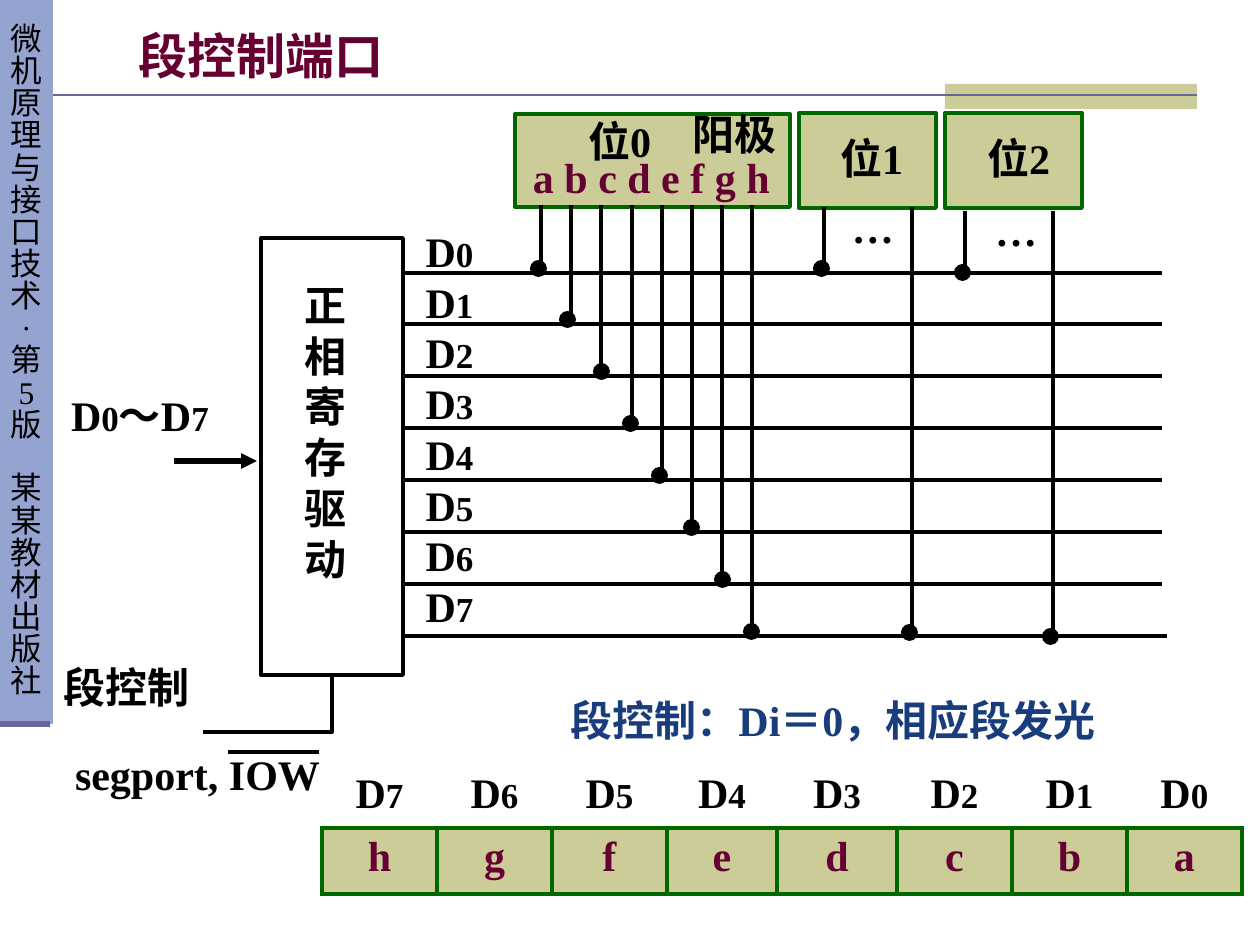
from typing import NamedTuple

from lxml import etree
from pptx import Presentation, util as u
from pptx.dml.color import RGBColor
from pptx.enum import shapes, text
from pptx.oxml.ns import qn

PX = 914400 / 126  # EMU in one px
BLACK = RGBColor(0x00, 0x00, 0x00)
MAROON = RGBColor(0x66, 0x00, 0x33)
NAVY = RGBColor(0x19, 0x3C, 0x7D)
GREEN = RGBColor(0x00, 0x66, 0x00)
KHAKI = RGBColor(0xCC, 0xCC, 0x99)
PERIWINKLE = RGBColor(0x95, 0xA3, 0xD1)
SLATE = RGBColor(0x66, 0x66, 0x99)
SERIF, SANS = "Times New Roman", "Noto Sans CJK SC"
CENTER, LEFT = text.PP_ALIGN.CENTER, text.PP_ALIGN.LEFT
RECT, OVAL = shapes.MSO_SHAPE.RECTANGLE, shapes.MSO_SHAPE.OVAL


class Box(NamedTuple):
    x: int
    y: int
    w: int
    h: int


class Label(NamedTuple):
    box: Box
    words: str
    color: RGBColor = BLACK
    align: text.PP_ALIGN = CENTER


class Digit(NamedTuple):
    box: Box
    label: Label
    dots: Label
    wire_x: int
    wire_y: int


def px(n: float) -> int:
    return u.Emu(round(n * PX))


def style(r, size=24, color=BLACK, bold=True, latin=SERIF) -> None:
    f = r.font
    f.size, f.bold, f.name = u.Pt(size), bold, latin
    f.color.rgb = color
    etree.SubElement(r._r.get_or_add_rPr(), qn("a:ea")).set("typeface", SANS)


def add_bit_names(p, *bits: str) -> None:
    """Write each name as a large D followed by a smaller number."""
    p.alignment = CENTER
    for name in bits:
        for part, size in ((name[:-1], 24), (name[-1], 20)):
            r = p.add_run()
            r.text = part
            style(r, size)


def add_frame(box: Box):
    tf = s.shapes.add_textbox(*map(px, box)).text_frame
    tf.word_wrap = True
    tf.margin_left = tf.margin_right = tf.margin_top = tf.margin_bottom = px(1)
    return tf


def add_label(label: Label) -> None:
    p = add_frame(label.box).paragraphs[0]
    p.text, p.alignment = label.words, label.align
    style(p.runs[0], color=label.color)


def add_shape(kind, box: Box, fill=None, line=None):
    sp = s.shapes.add_shape(kind, *map(px, box))
    sp.shadow.inherit = False
    paint(sp, fill, line)
    return sp


def paint(sp, fill, line) -> None:
    if fill is None:
        sp.fill.background()
    else:
        sp.fill.solid()
        sp.fill.fore_color.rgb = fill
    if line is None:
        sp.line.fill.background()
    else:
        sp.line.color.rgb, sp.line.width = line, u.Pt(2.25)


def add_line(x1, y1, x2, y2, color=BLACK, width=2.25):
    c = s.shapes.add_connector(shapes.MSO_CONNECTOR.STRAIGHT, *map(px, (x1, y1, x2, y2)))
    c.line.color.rgb, c.line.width = color, u.Pt(width)
    etree.SubElement(c._element.spPr, qn("a:effectLst"))
    return c


def add_dot(x: int, y: int) -> None:
    add_shape(OVAL, Box(x, y, 13, 13), BLACK, BLACK)


def add_borders(cell, *sides: str) -> None:
    tc_pr = cell._tc.get_or_add_tcPr()
    for side in sides:
        ln = etree.SubElement(tc_pr, qn(f"a:ln{side}"), w=str(u.Pt(2.25)))
        fill = etree.SubElement(ln, qn("a:solidFill"))
        etree.SubElement(fill, qn("a:srgbClr"), val=str(GREEN))


prs = Presentation()
prs.slide_width, prs.slide_height = px(1260), px(945)
s = prs.slides.add_slide(prs.slide_layouts[6])

# Sidebar and header rule
tf = add_shape(RECT, Box(0, 0, 53, 724), PERIWINKLE).text_frame
tf.word_wrap = False
tf.vertical_anchor = text.MSO_ANCHOR.MIDDLE
series, publisher = "微机原理与接口技术·第5版", "某某教材出版社"
for i, char in enumerate(series + publisher):
    p = tf.add_paragraph() if i else tf.paragraphs[0]
    p.text, p.alignment, p.line_spacing = char, CENTER, 0.85
    if i == len(series):
        p.space_before = u.Pt(18)
    style(p.runs[0], 18, bold=False)
add_shape(RECT, Box(945, 84, 252, 25), KHAKI)
add_line(53, 95, 1197, 95, SLATE, 1.5)
add_line(0, 724, 50, 724, SLATE, 3)

# Title
tf = s.shapes.add_textbox(*map(px, (126, 21, 1071, 67))).text_frame
tf.word_wrap = True
tf.vertical_anchor = text.MSO_ANCHOR.MIDDLE
tf.text = "段控制端口"
style(tf.paragraphs[0].runs[0], 28, MAROON, latin=SANS)

# Digit 0 and its segment names
add_shape(RECT, Box(515, 114, 275, 93), KHAKI, GREEN)
for label in (
    Label(Box(674, 108, 121, 64), "阳极"),
    Label(Box(559, 115, 121, 64), "位0"),
    Label(Box(532, 151, 292, 64), "a b c d e f g h", MAROON, LEFT),
):
    add_label(label)

# Data lines D0 to D7, each tapped by one segment of digit 0
DOT_X = (532, 561, 595, 624, 653, 685, 716, 745)
for i, dot_x in enumerate(DOT_X):
    bus_y = 273 + i * 363 // 7
    wire_x = 541 + round(i * 30.2)
    add_line(401, bus_y, 1167 if i == 7 else 1162, bus_y)
    add_line(wire_x, 205, wire_x, bus_y)
    add_dot(dot_x, bus_y - 11)

tf = add_frame(Box(398, 224, 103, 446))
for i in range(8):
    p = tf.add_paragraph() if i else tf.paragraphs[0]
    p.line_spacing = u.Pt(29)
    add_bit_names(p, f"D{i}")

# Digits 1 and 2 with their first and last segment wires
for digit in (
    Digit(Box(799, 113, 137, 95), Label(Box(811, 132, 121, 62), "位1"),
          Label(Box(806, 200, 134, 72), "…"), 824, 207),
    Digit(Box(945, 113, 137, 95), Label(Box(958, 132, 121, 62), "位2"),
          Label(Box(949, 204, 134, 72), "…"), 965, 211),
):
    add_shape(RECT, digit.box, KHAKI, GREEN)
    add_label(digit.label)
    add_label(digit.dots)
    for dx, length in ((0, 65), (88, 429)):
        x, end = digit.wire_x + dx, digit.wire_y + length
        add_line(x, digit.wire_y, x, end)
        add_dot(x - 9, end - 10)

# Register with its inputs
add_shape(RECT, Box(261, 238, 142, 437), line=BLACK)
tf = add_frame(Box(304, 278, 83, 388))
for i, char in enumerate("正相寄存驱动"):
    p = tf.add_paragraph() if i else tf.paragraphs[0]
    p.text, p.line_spacing = char, u.Pt(29)
    p.alignment = text.PP_ALIGN.JUSTIFY
    style(p.runs[0])
add_bit_names(add_frame(Box(57, 389, 166, 73)).paragraphs[0], "D0", "～D7")
arrow = add_line(174, 461, 257, 461, width=3)
etree.SubElement(arrow.line._get_or_add_ln(), qn("a:tailEnd"), type="triangle")

fb = s.shapes.build_freeform(332, 675, scale=PX)
fb.add_line_segments([(332, 732), (203, 732)], close=False)
control_wire = fb.convert_to_shape()
control_wire.shadow.inherit = False
paint(control_wire, None, BLACK)
add_line(319, 752, 228, 752)

for label in (
    Label(Box(63, 660, 209, 83), "段控制", align=LEFT),
    Label(Box(62, 748, 271, 73), "segport, IOW"),
    Label(Box(504, 693, 658, 72), "段控制：Di＝0，相应段发光", NAVY),
):
    add_label(label)

# Bit table
COLUMNS, ROWS = (115, 115, 115, 110, 120, 115, 115, 115), (58, 66)
table = s.shapes.add_table(2, 8, px(322), px(765), px(sum(COLUMNS)), px(sum(ROWS))).table
table.first_row = table.horz_banding = False
for row, height in zip(table.rows, ROWS):
    row.height = px(height)
for i, (width, segment) in enumerate(zip(COLUMNS, "hgfedcba")):
    table.columns[i].width = px(width)
    name, value = table.cell(0, i), table.cell(1, i)
    add_borders(name, "B")
    name.fill.background()
    add_bit_names(name.text_frame.paragraphs[0], f"D{7 - i}")
    add_borders(value, *"LRTB")
    value.fill.solid()
    value.fill.fore_color.rgb = KHAKI
    p = value.text_frame.paragraphs[0]
    p.text, p.alignment = segment, CENTER
    style(p.runs[0], color=MAROON)

prs.save("out.pptx")
